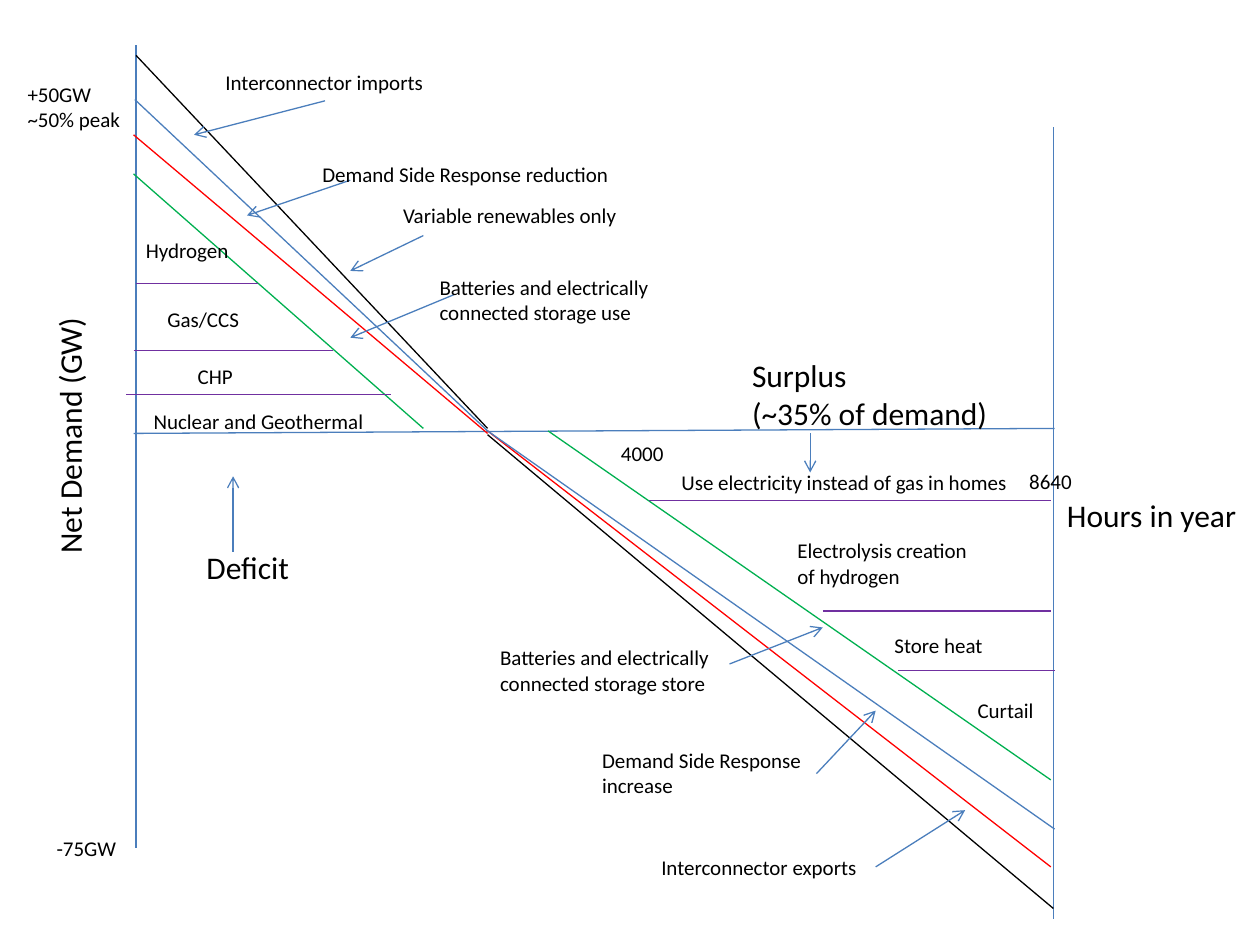
from lxml import etree
from pptx import Presentation
from pptx.dml.color import RGBColor
from pptx.enum.shapes import MSO_CONNECTOR
from pptx.enum.text import MSO_AUTO_SIZE
from pptx.oxml.ns import qn
from pptx.util import Inches, Pt

STRAIGHT = MSO_CONNECTOR.STRAIGHT
GROW = MSO_AUTO_SIZE.SHAPE_TO_FIT_TEXT

BLUE = RGBColor(0x4B, 0x7E, 0xBC)
BLACK = RGBColor(0x00, 0x00, 0x00)
RED = RGBColor(0xFF, 0x00, 0x00)
GREEN = RGBColor(0x00, 0xB0, 0x50)
PURPLE = RGBColor(0x70, 0x30, 0xA0)

# Chart frame in inches
LEFT_AXIS, RIGHT_AXIS = 1.08, 8.36
LEFT_EDGE, RIGHT_EDGE = 1.06, 8.34
CROSSING = 3.87
LABEL_SIZE, HEADING_SIZE = 12, 18
ROW_HEIGHT = {(12, 1): 0.3, (12, 2): 0.5, (18, 1): 0.4, (18, 2): 0.71}

presentation = Presentation()
presentation.slide_width = Inches(10)
presentation.slide_height = Inches(7.5)
slide = presentation.slides.add_slide(presentation.slide_layouts[6])


def add_line(start, end, color, arrow=False):
    connector = slide.shapes.add_connector(
        STRAIGHT, *(Inches(value) for value in (*start, *end)))
    connector.line.color.rgb = color
    connector.line.width = Pt(0.75)
    properties = connector.element.spPr
    if arrow:
        etree.SubElement(properties.find(qn("a:ln")), qn("a:tailEnd"), type="arrow")
    etree.SubElement(properties, qn("a:effectLst"))


def add_label(text, left, top, width, size, height=None):
    lines = text.split("\n")
    height = height or ROW_HEIGHT[size, len(lines)]
    box = slide.shapes.add_textbox(
        *(Inches(value) for value in (left, top, width, height)))
    frame = box.text_frame
    frame.text = text
    frame.word_wrap = False
    frame.auto_size = GROW
    font_format = {"name": "Calibri", "size": Pt(size)}
    for paragraph in frame.paragraphs:
        for run in paragraph.runs:
            for attribute, value in font_format.items():
                setattr(run.font, attribute, value)
            run.font.color.rgb = BLACK
    return box


# Axes
axes = [
    ((LEFT_AXIS, 0.36), (LEFT_AXIS, 6.73)),
    ((LEFT_EDGE, 3.44), (8.37, 3.4)),
    ((RIGHT_AXIS, 1.01), (RIGHT_AXIS, 7.29)),
]
for start, end in axes:
    add_line(start, end, BLUE)

# Net demand curves, deficit side then surplus side
curves = [
    ((LEFT_AXIS, 0.44), (CROSSING, 3.4), BLACK),
    ((CROSSING, 3.45), (RIGHT_AXIS, 7.21), BLACK),
    ((LEFT_EDGE, 1.07), (CROSSING, 3.44), RED),
    ((CROSSING, 3.42), (RIGHT_EDGE, 6.88), RED),
    ((LEFT_EDGE, 1.38), (3.36, 3.4), GREEN),
    ((4.35, 3.42), (RIGHT_EDGE, 6.19), GREEN),
    ((1.07, 0.79), (CROSSING, 3.42), BLUE),
    ((CROSSING, 3.42), (8.37, 6.58), BLUE),
]
for start, end, color in curves:
    add_line(start, end, color)

# Horizontal band dividers: left, right, height on the slide
dividers = [
    (LEFT_AXIS, 2.05, 2.25),
    (LEFT_EDGE, 2.64, 2.78),
    (1, 3.1, 3.13),
    (5.15, RIGHT_EDGE, 3.97),
    (6.53, RIGHT_EDGE, 4.85),
    (7.13, 8.37, 5.32),
]
for left, right, level in dividers:
    add_line((left, level), (right, level), PURPLE)

# Arrows from labels to the curves
arrows = [
    ((1.85, 4.38), (1.85, 3.78)),
    ((6.43, 3.44), (6.43, 3.75)),
    ((2.58, 0.8), (1.54, 1.07)),
    ((2.78, 1.43), (1.96, 1.71)),
    ((3.36, 1.87), (2.78, 2.15)),
    ((3.6, 2.34), (2.78, 2.68)),
    ((5.79, 5.27), (6.53, 4.98)),
    ((6.48, 6.14), (6.95, 5.64)),
    ((6.95, 6.88), (7.66, 6.43)),
]
for start, end in arrows:
    add_line(start, end, BLUE, arrow=True)

# Headings
headings = [
    ("Deficit", 1.54, 4.3, 0.87),
    ("Surplus\n(~35% of demand)", 5.87, 2.78, 2.09),
    ("Hours in year", 8.37, 3.89, 1.56),
]
for text, left, top, width in headings:
    add_label(text, left, top, width, HEADING_SIZE)

# Vertical axis title
axis_title = add_label("Net Demand (GW)", 0.35, 2.49, 0.5, HEADING_SIZE, height=2)
axis_title.text_frame._txBody.bodyPr.set("vert", "vert270")

# Small labels: axis values, deficit side, surplus side
labels = [
    ("+50GW\n~50% peak", 0.12, 0.6, 0.95),
    ("-75GW", 0.35, 6.58, 0.68),
    ("4000", 4.83, 3.45, 0.55),
    ("8640", 8.07, 3.67, 0.55),
    ("Interconnector imports", 1.69, 0.5, 1.79),
    ("Demand Side Response reduction", 2.46, 1.23, 2.5),
    ("Variable renewables only", 3.1, 1.56, 1.91),
    ("Batteries and electrically\nconnected storage use", 3.39, 2.13, 1.92),
    ("Hydrogen", 1.06, 1.84, 0.86),
    ("Gas/CCS", 1.23, 2.38, 0.78),
    ("CHP", 1.47, 2.84, 0.48),
    ("Nuclear and Geothermal", 1.12, 3.19, 1.88),
    ("Use electricity instead of gas in homes", 5.31, 3.68, 2.82),
    ("Electrolysis creation\nof hydrogen", 6.23, 4.22, 1.6),
    ("Store heat", 7, 4.97, 0.91),
    ("Curtail", 7.66, 5.49, 0.65),
    ("Batteries and electrically\nconnected storage store", 3.87, 5.07, 1.92),
    ("Demand Side Response\nincrease", 4.68, 5.88, 1.8),
    ("Interconnector exports", 5.15, 6.73, 1.77),
]
for text, left, top, width in labels:
    add_label(text, left, top, width, LABEL_SIZE)

presentation.save("out.pptx")
